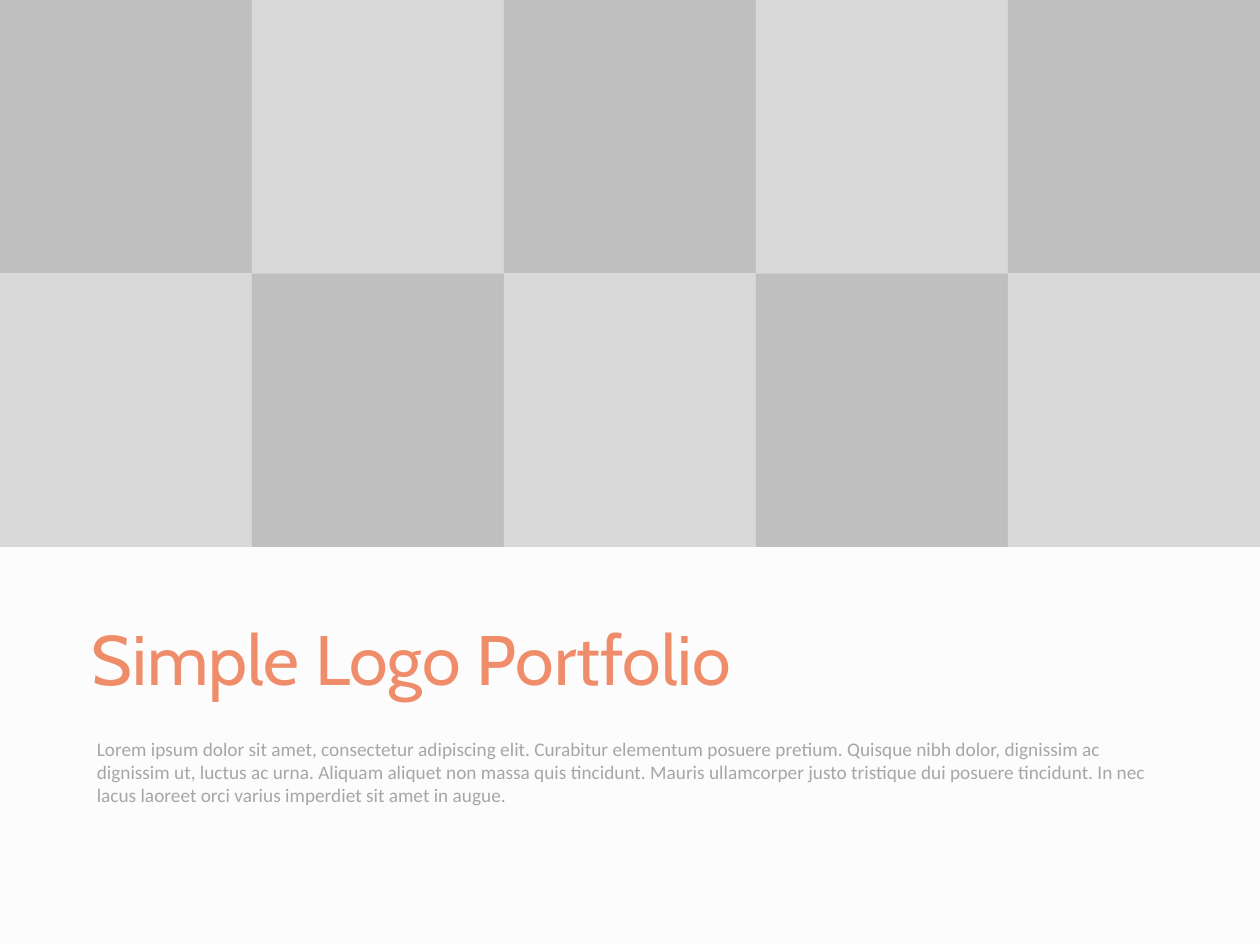
from pptx import Presentation
from pptx.dml.color import RGBColor
from pptx.enum.shapes import MSO_SHAPE
from pptx.enum.text import MSO_ANCHOR, PP_ALIGN
from pptx.util import Inches, Pt

BACKGROUND = "FCFCFC"
TILE_COLORS = ("BFBFBF", "D9D9D9")
TILE_WIDTH, TILE_HEIGHT = 2, 2.17
COLUMNS, ROWS = 5, 2

TITLE_FORMAT = {"name": "Cabin", "size": Pt(40), "color": "EF8C6A"}
BODY_FORMAT = {"name": "Calibri", "size": Pt(11), "color": "A6A6A6"}
BODY_TEXT = (
    "Lorem ipsum dolor sit amet, consectetur adipiscing elit. Curabitur "
    "elementum posuere pretium. Quisque nibh dolor, dignissim ac dignissim ut, "
    "luctus ac urna. Aliquam aliquet non massa quis tincidunt. Mauris "
    "ullamcorper justo tristique dui posuere tincidunt. In nec lacus laoreet "
    "orci varius imperdiet sit amet in augue."
)


def set_color(fill, value):
    fill.solid()
    fill.fore_color.rgb = RGBColor.from_string(value)


class SlideBuilder:
    def __init__(self, presentation):
        self.slide = presentation.slides.add_slide(presentation.slide_layouts[5])
        set_color(self.slide.background.fill, BACKGROUND)

    def fill_text(self, shape, text, anchor, text_format):
        frame = shape.text_frame
        frame.word_wrap = True
        frame.vertical_anchor = anchor
        paragraph = frame.paragraphs[0]
        paragraph.alignment = PP_ALIGN.LEFT
        run = paragraph.add_run()
        run.text = text
        for attribute, value in text_format.items():
            if attribute == "color":
                set_color(run.font.fill, value)
            else:
                setattr(run.font, attribute, value)
        return paragraph

    def tile(self, box, color):
        shape = self.slide.shapes.add_shape(MSO_SHAPE.RECTANGLE, *map(Inches, box))
        shape.shadow.inherit = False
        shape.line.fill.background()
        set_color(shape.fill, color)

    def title(self, box, text):
        shape = self.slide.shapes.title
        shape.left, shape.top, shape.width, shape.height = map(Inches, box)
        self.fill_text(shape, text, MSO_ANCHOR.MIDDLE, TITLE_FORMAT)

    def body(self, box, text):
        shape = self.slide.shapes.add_textbox(*map(Inches, box))
        paragraph = self.fill_text(shape, text, MSO_ANCHOR.TOP, BODY_FORMAT)
        paragraph.space_before = Pt(2.2)


def main():
    presentation = Presentation()
    presentation.slide_width = Inches(10)
    presentation.slide_height = Inches(7.5)
    builder = SlideBuilder(presentation)

    # Checkerboard of portfolio tiles
    for row in range(ROWS):
        for column in range(COLUMNS):
            box = (column * TILE_WIDTH, row * TILE_HEIGHT, TILE_WIDTH, TILE_HEIGHT)
            builder.tile(box, TILE_COLORS[(row + column) % 2])

    # Title and description
    builder.title((0.63, 4.59, 8.47, 1.25), "Simple Logo Portfolio")
    builder.body((0.67, 5.8, 8.74, 0.89), BODY_TEXT)

    presentation.save("out.pptx")


if __name__ == "__main__":
    main()
